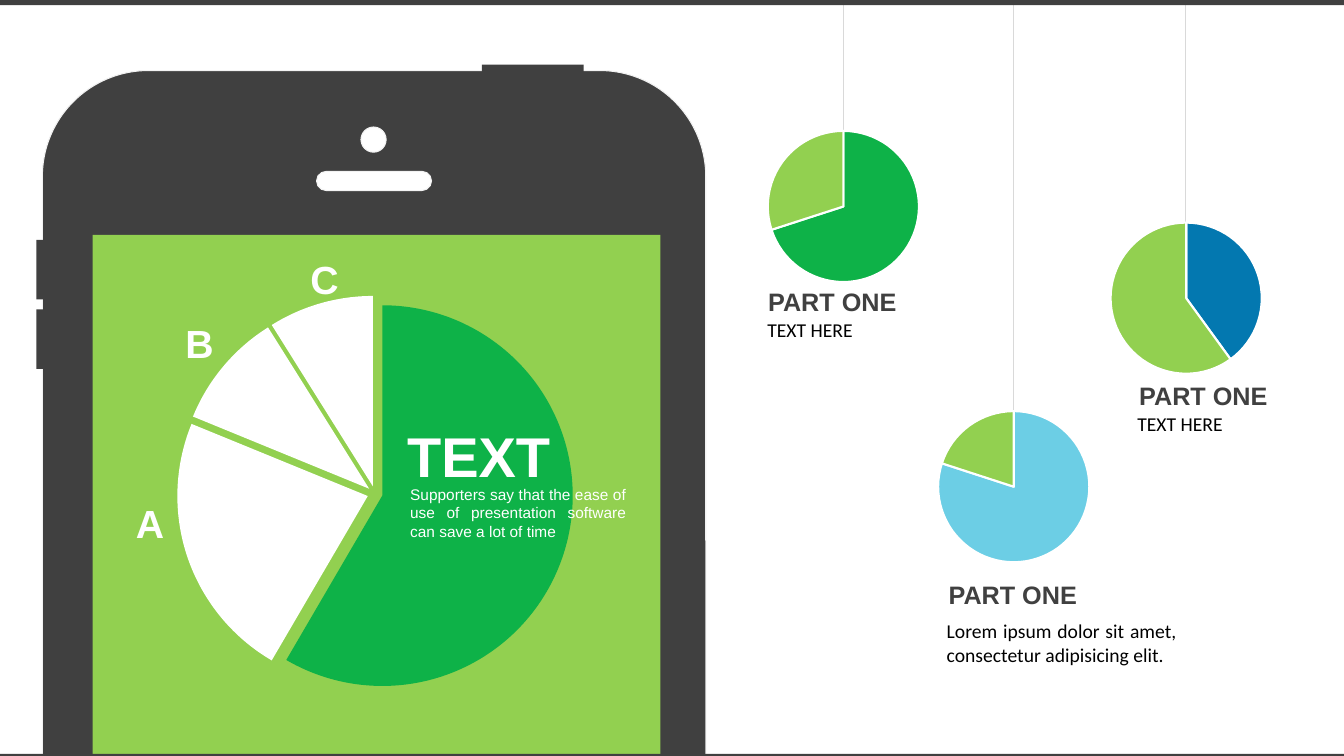
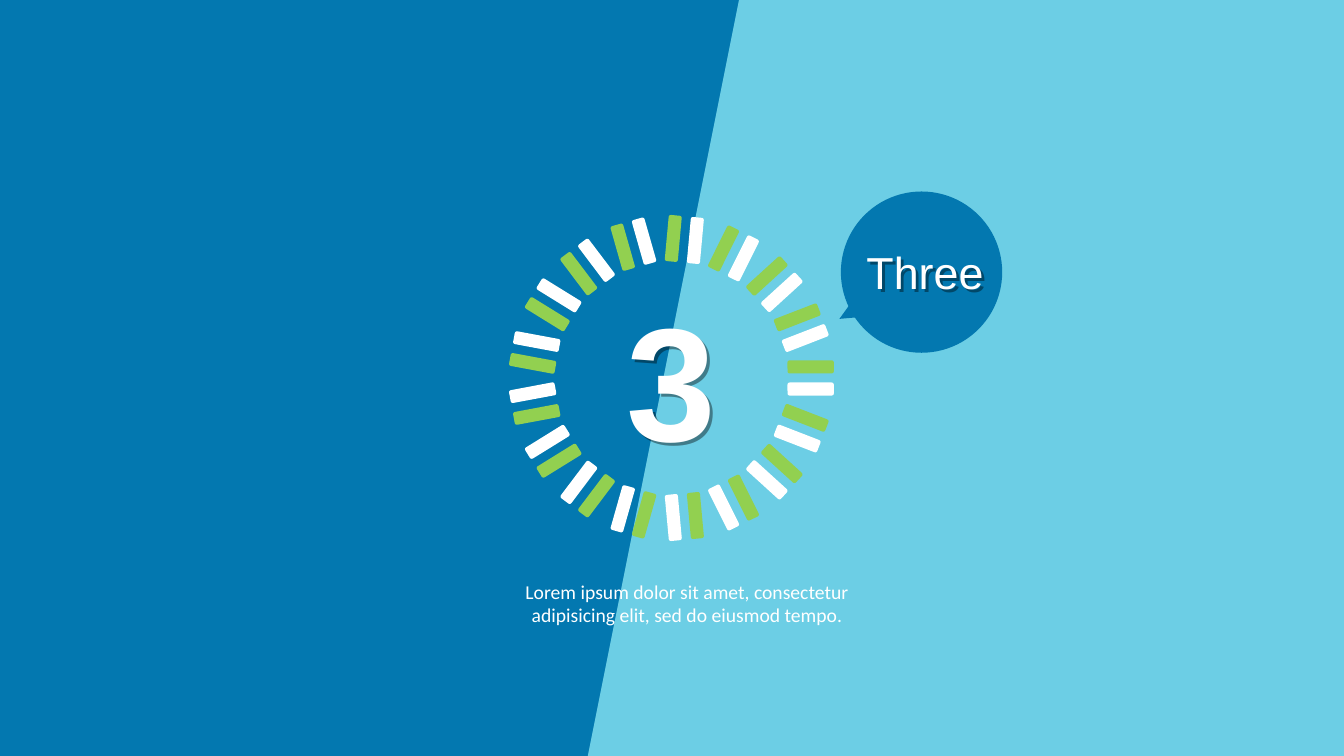
import math

from lxml import etree
from pptx import Presentation
from pptx import util as u
from pptx.chart.data import CategoryChartData
from pptx.dml.color import RGBColor
from pptx.enum import chart as charts, shapes, text
from pptx.oxml import parse_xml
from pptx.oxml.ns import nsdecls, qn

WIDTH, HEIGHT = 13.33, 7.5
CHARCOAL = RGBColor(0x40, 0x40, 0x40)
BLACK = RGBColor(0, 0, 0)
WHITE = RGBColor(0xFF, 0xFF, 0xFF)
PALE = RGBColor(0xF2, 0xF2, 0xF2)
GREY = RGBColor(0xD9, 0xD9, 0xD9)
LIME = RGBColor(0x92, 0xD0, 0x50)
GREEN = RGBColor(0x0E, 0xB2, 0x48)
BLUE = RGBColor(0x03, 0x78, 0xB0)
SKY = RGBColor(0x6C, 0xCE, 0xE5)
HEAD, BODY = "Arial", "Calibri"
KIND = shapes.MSO_SHAPE
ALIGN = text.PP_ALIGN


def inches(*lengths):
    return [u.Inches(length) for length in lengths]


def add_block(parent, kind, box, fill, outline=None, rotation=0):
    block = parent.shapes.add_shape(kind, *inches(*box))
    block.shadow.inherit = False
    block.fill.solid()
    block.fill.fore_color.rgb = fill
    if outline is None:
        block.line.fill.background()
    else:
        block.line.color.rgb = outline
        block.line.width = u.Pt(0.75)
    block.rotation = rotation
    return block


def add_words(page, box, words, size, colour, font=HEAD, bold=False,
              align=ALIGN.LEFT, wrap=False, inset=0.1):
    area = page.shapes.add_textbox(*inches(*box))
    frame = area.text_frame
    frame.text = words
    frame.word_wrap = wrap
    frame.auto_size = text.MSO_AUTO_SIZE.SHAPE_TO_FIT_TEXT
    frame.margin_left = frame.margin_right = u.Inches(inset)
    frame.margin_top = frame.margin_bottom = u.Inches(inset / 2)
    para = frame.paragraphs[0]
    para.alignment = align
    span = para.runs[0].font
    span.name, span.size, span.bold = font, u.Pt(size), bold
    span.color.rgb = colour
    return area


def add_caption(page, box, words, colour, align):
    add_words(page, box, words, 14, colour, BODY, align=align, wrap=True, inset=0.08)


def cast_shadow(area):
    area._element.spPr.append(parse_xml(
        f'<a:effectLst {nsdecls("a")}><a:outerShdw dist="38100" dir="2700000" algn="tl">'
        '<a:srgbClr val="000000"><a:alpha val="40000"/></a:srgbClr>'
        '</a:outerShdw></a:effectLst>'))


def add_thread(page, x, bottom):
    thread = page.shapes.add_connector(
        shapes.MSO_CONNECTOR.STRAIGHT, *inches(x, 0, x, bottom))
    thread.line.color.rgb = GREY
    thread.line.width = u.Pt(0.5)
    etree.SubElement(thread._element.spPr, qn("a:effectLst"))


def add_pie(page, box, diameter, values, colours, edge=None, explosion=0):
    """Draw a pie whose plot is a centred square of the given diameter."""
    data = CategoryChartData()
    data.categories = [str(number + 1) for number in range(len(values))]
    data.add_series("Series 1", values)
    pie = page.shapes.add_chart(charts.XL_CHART_TYPE.PIE, *inches(*box), data).chart
    pie.has_title = pie.has_legend = False
    pie.font.name, pie.font.size = HEAD, u.Pt(10)
    pie.font.color.rgb = BLACK
    pie.plots[0].vary_by_categories = True
    series = pie.plots[0].series[0]
    for number, colour in enumerate(colours):
        piece = series.points[number].format
        piece.fill.solid()
        piece.fill.fore_color.rgb = colour
        if edge is None:
            piece.line.fill.background()
        else:
            piece.line.color.rgb = edge
            piece.line.width = u.Pt(1.5)
    if explosion:
        series._element.find(qn("c:tx")).addnext(
            parse_xml(f'<c:explosion {nsdecls("c")} val="{explosion}"/>'))

    wide, high = diameter / box[2], diameter / box[3]
    area = pie._chartSpace.find(".//" + qn("c:plotArea"))
    for layout in area.findall(qn("c:layout")):
        area.remove(layout)
    area.insert(0, parse_xml(
        f'<c:layout {nsdecls("c")}><c:manualLayout><c:layoutTarget val="inner"/>'
        '<c:xMode val="edge"/><c:yMode val="edge"/>'
        f'<c:x val="{(1 - wide) / 2:.3f}"/><c:y val="{(1 - high) / 2:.3f}"/>'
        f'<c:w val="{wide:.3f}"/><c:h val="{high:.3f}"/>'
        '</c:manualLayout></c:layout>'))


def draw_phone(page, left, top, width):
    """Draw a phone that runs down to the bottom of the slide."""
    phone = page.shapes.add_group_shape()
    body = add_block(phone, KIND.ROUND_2_SAME_RECTANGLE,
                     (left, top, width, HEIGHT - top), CHARCOAL, PALE)
    body.adjustments[0] = 0.16
    screen_top = top + 1.63
    add_block(phone, KIND.RECTANGLE,
              (left + 0.5, screen_top, width - 0.95, HEIGHT - screen_top), LIME)
    speaker = add_block(phone, KIND.ROUNDED_RECTANGLE,
                        (left + 2.72, top + 1, 1.14, 0.19), WHITE, PALE)
    speaker.adjustments[0] = 0.5
    add_block(phone, KIND.OVAL, (left + 3.16, top + 0.56, 0.25, 0.25), WHITE, PALE)
    add_block(phone, KIND.RECTANGLE, (left + 4.36, top - 0.06, 1.01, 0.19), CHARCOAL)
    for drop in (1.68, 2.37):
        add_block(phone, KIND.RECTANGLE, (left - 0.06, top + drop, 0.12, 0.59), CHARCOAL)


def draw_screen_pie(page, left, top):
    add_pie(page, (left, top, 4.2, 4.5), 3.93, (59, 23, 10, 9),
            (GREEN, WHITE, WHITE, WHITE), explosion=4)
    add_words(page, (left + 2.35, top + 2.11, 2.34, 0.66),
              "Supporters say that the ease of use of presentation software "
              "can save a lot of time", 11, WHITE, align=ALIGN.JUSTIFY, wrap=True)
    add_words(page, (left + 2.32, top + 1.48, 1.63, 0.77), "TEXT", 40, WHITE, bold=True)
    for letter, x, y in (("A", -0.37, 2.25), ("B", 0.12, 0.47), ("C", 1.36, -0.17)):
        add_words(page, (left + x, top + y, 0.49, 0.57), letter, 28, WHITE, bold=True)


def draw_pendant(page, left, top, share, colour, label, caption, words, width):
    """Hang a small pie on a thread; label and caption are offsets from its box."""
    add_thread(page, left + 0.89, top + 0.96)
    add_pie(page, (left, top, 1.79, 1.92), 1.5, (share, 100 - share),
            (colour, LIME), edge=WHITE)
    add_words(page, (left + label[0], top + label[1], 1.49, 0.4),
              "PART ONE", 18, CHARCOAL, bold=True)
    add_caption(page, (left + caption[0], top + caption[1], width, 0.31),
                words, BLACK, ALIGN.JUSTIFY)


def draw_ring(page, centre_x, centre_y, radius, pairs):
    """Set pairs of green and white bars around a circle."""
    ring = page.shapes.add_group_shape()
    wide, high, shift = 0.13, 0.46, 0.11
    for number in range(pairs):
        turn = (90 + number * 360 / pairs) % 360
        sine, cosine = math.sin(math.radians(turn)), math.cos(math.radians(turn))
        for side, colour in ((-shift, LIME), (shift, WHITE)):
            x = centre_x + radius * sine + side * cosine
            y = centre_y - radius * cosine + side * sine
            add_block(ring, KIND.ROUNDED_RECTANGLE,
                      (x - wide / 2, y - high / 2, wide, high), colour, rotation=turn)


def draw_bubble(page, left, top, size):
    bubble = page.shapes.add_group_shape()
    add_block(bubble, KIND.OVAL, (left, top, size, size), BLUE)
    add_block(bubble, KIND.ISOSCELES_TRIANGLE,
              (left - 0.03, top + 0.8, 0.57, 0.62), BLUE, rotation=240.3)
    cast_shadow(add_words(page, (left + 0.15, top + 0.48, 1.37, 0.64),
                          "Three", 32, WHITE, align=ALIGN.CENTER))


def build_phone_slide(page):
    draw_phone(page, 0.42, 0.7, 6.58)
    draw_screen_pie(page, 1.62, 2.65)
    for pendant in (
        (7.47, 1.09, 70, GREEN, (0.05, 1.7), (0.06, 2.02), "TEXT HERE", 1.12),
        (9.16, 3.87, 80, SKY, (0.15, 1.83), (0.15, 2.23),
         "Lorem ipsum dolor sit amet, consectetur adipisicing elit.", 2.44),
        (10.87, 2, 40, BLUE, (0.33, 1.72), (0.33, 2.05), "TEXT HERE", 1.49),
    ):
        draw_pendant(page, *pendant)
    for top, height in ((0, 0.05), (HEIGHT - 0.02, 0.02)):
        add_block(page, KIND.RECTANGLE, (0, top, WIDTH, height), CHARCOAL)


def build_section_slide(page):
    page.background.fill.solid()
    page.background.fill.fore_color.rgb = BLUE
    slope = add_block(page, KIND.FLOWCHART_MANUAL_INPUT,
                      (WIDTH - HEIGHT, 0, HEIGHT, HEIGHT), SKY, rotation=270)
    slope._element.spPr.find(qn("a:xfrm")).set("flipH", "1")
    draw_ring(page, 6.66, HEIGHT / 2, 1.38, 17)
    add_caption(page, (5.09, 5.71, 3.45, 0.54),
                "Lorem ipsum dolor sit amet, consectetur adipisicing elit, "
                "sed do eiusmod tempo.", WHITE, ALIGN.CENTER)
    cast_shadow(add_words(page, (6.12, 2.73, 1.1, 2.04), "3", 115, WHITE, bold=True))
    draw_bubble(page, 8.34, 1.9, 1.6)


def main():
    deck = Presentation()
    deck.slide_width, deck.slide_height = inches(WIDTH, HEIGHT)
    for build in (build_phone_slide, build_section_slide):
        build(deck.slides.add_slide(deck.slide_layouts[6]))
    deck.save("out.pptx")


if __name__ == "__main__":
    main()
